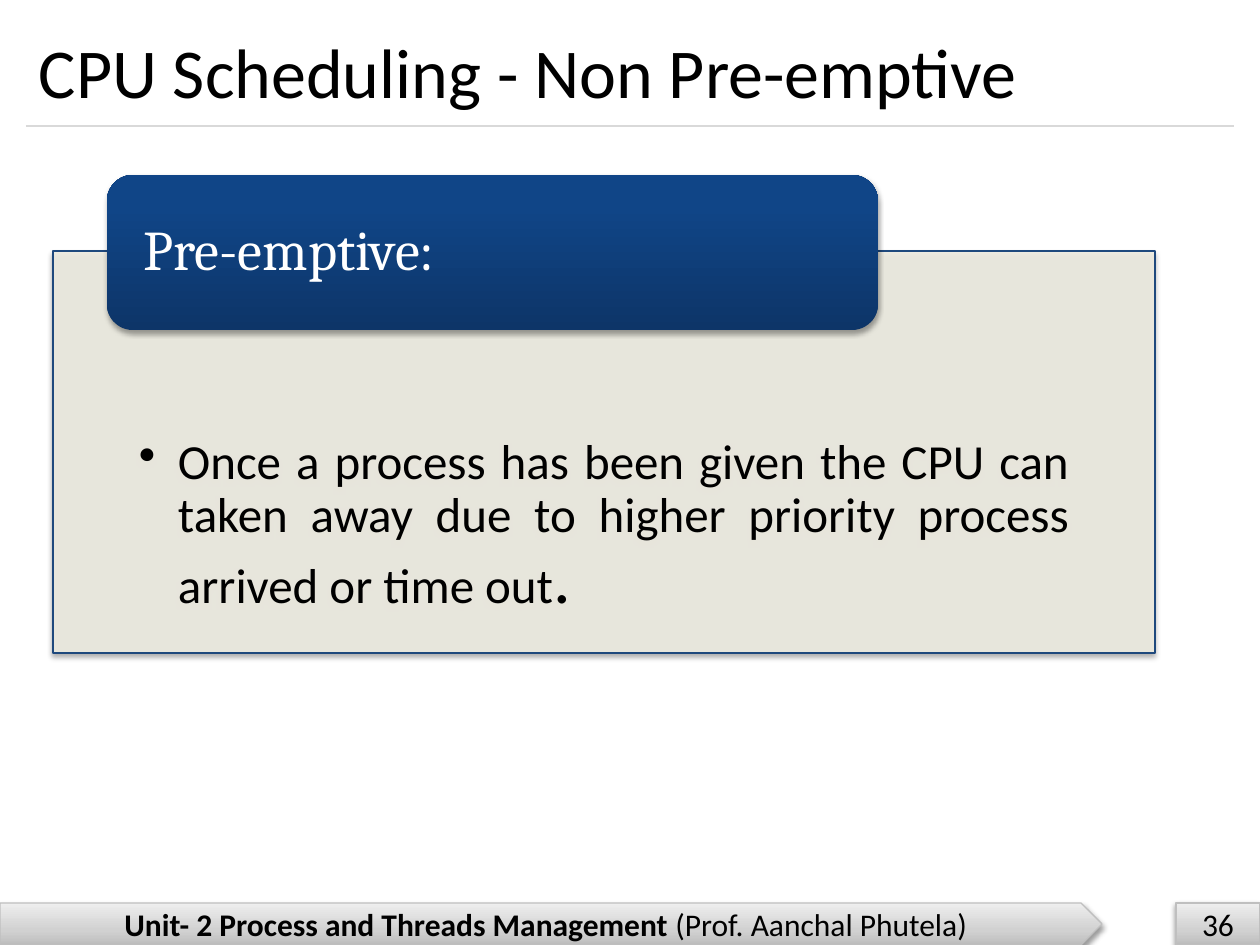
from lxml import etree
from pptx import Presentation
from pptx.dml.color import RGBColor
from pptx.enum.shapes import MSO_CONNECTOR, MSO_SHAPE as SHAPE
from pptx.enum.text import MSO_ANCHOR as ANCHOR, PP_ALIGN as ALIGN
from pptx.oxml import parse_xml
from pptx.oxml.ns import nsdecls, qn
from pptx.util import Pt

# Content: each run is (text, size, bold)
TITLE = [("CPU Scheduling - Non Pre-emptive", 40, False)]
HEADING = [("Pre-emptive:", 32, False)]
BODY = [
    ("Once a process has been given the CPU can taken away due to higher "
     "priority process arrived or time out", 28, False),
    (".", 40, False),
]
FOOTER = [
    ("Unit- 2 Process and Threads Management ", 18, True),
    ("(Prof. Aanchal Phutela)", 18, False),
]
PAGE_NUMBER = [("36", 18, False)]

COLORS = {
    "text": "000000", "heading": "FFFFFF", "shadow": "000000",
    "panel": "EEECE1", "panel_line": "1F497D",
    "footer_line": "BFBFBF", "rule": "D9D9D9",
}
GRAY_STOPS = [(0, "BDBDBD"), (35, "D1D1D1"), (100, "EEEEEE")]
BLUE_STOPS = [(0, "0D3568"), (80, "104587"), (100, "0E458A")]

# Layout in px
WIDTH, HEIGHT = 1260, 945
MARGIN, RULE_Y = 26, 126
FOOTER_TOP, FOOTER_WIDTH, NUMBER_LEFT = 903, 1102, 1176
PANEL = (53, 251, 1102, 402)
HEADING_BOX = (107, 175, 771, 155)
INDENT = 39


def px(value):
    return round(value * 914400 / 126)


def rgb(name):
    return RGBColor.from_string(COLORS[name])


def add_shadow(shape, alpha, distance):
    shape.shadow.inherit = False
    effects = shape._element.spPr.find(qn("a:effectLst"))
    effects.append(parse_xml(
        f'<a:outerShdw {nsdecls("a")} blurRad="{Pt(3.1)}" dist="{Pt(distance)}" '
        f'dir="5400000" rotWithShape="0"><a:srgbClr val="{COLORS["shadow"]}">'
        f'<a:alpha val="{alpha * 1000}"/></a:srgbClr></a:outerShdw>'))


def fill_gradient(shape, stops):
    """Linear gradient running from the bottom edge to the top."""
    shape.fill.gradient()
    gradient = shape._element.spPr.find(qn("a:gradFill"))
    stop_list = gradient.find(qn("a:gsLst"))
    for stop in list(stop_list):
        stop_list.remove(stop)
    for position, color in stops:
        stop = etree.SubElement(stop_list, qn("a:gs"), pos=str(position * 1000))
        etree.SubElement(stop, qn("a:srgbClr"), val=color)
    gradient.find(qn("a:lin")).set("ang", "16200000")


def add_shape(slide, kind, box, line, shadow):
    shape = slide.shapes.add_shape(kind, *map(px, box))
    if line:
        shape.line.color.rgb = rgb(line)
        shape.line.width = Pt(0.75)
    else:
        shape.line.fill.background()
    add_shadow(shape, *shadow)
    return shape


def write(shape, runs, align, color="text", font="Calibri",
          anchor=ANCHOR.MIDDLE, insets=(13, 6, 13, 6)):
    frame = shape.text_frame
    frame.word_wrap = True
    frame.vertical_anchor = anchor
    (frame.margin_left, frame.margin_top,
     frame.margin_right, frame.margin_bottom) = map(px, insets)
    paragraph = frame.paragraphs[0]
    paragraph.alignment = align
    paragraph.font.name = font
    paragraph.font.color.rgb = rgb(color)
    for text, size, bold in runs:
        run = paragraph.add_run()
        run.text = text
        run.font.size = Pt(size)
        run.font.bold = bold
        run.font.name = font
        run.font.color.rgb = rgb(color)
    return paragraph


def add_bullet(paragraph):
    properties = paragraph._p.get_or_add_pPr()
    properties.set("marL", str(px(INDENT)))
    properties.set("indent", str(-px(INDENT)))
    bullet = parse_xml(f'<a:buChar {nsdecls("a")} char="•"/>')
    properties.find(qn("a:defRPr")).addprevious(bullet)


presentation = Presentation()
presentation.slide_width, presentation.slide_height = px(WIDTH), px(HEIGHT)
slide = presentation.slides.add_slide(presentation.slide_layouts[6])

# Footer bar and page number
for kind, left, width, runs in (
    (SHAPE.PENTAGON, 0, FOOTER_WIDTH, FOOTER),
    (SHAPE.RECTANGLE, NUMBER_LEFT, WIDTH - NUMBER_LEFT, PAGE_NUMBER),
):
    box = (left, FOOTER_TOP, width, HEIGHT - FOOTER_TOP)
    bar = add_shape(slide, kind, box, "footer_line", (38, 1.6))
    fill_gradient(bar, GRAY_STOPS)
    write(bar, runs, ALIGN.CENTER)

# Title and the rule below it
rule = slide.shapes.add_connector(
    MSO_CONNECTOR.STRAIGHT, px(MARGIN), px(RULE_Y), px(WIDTH - MARGIN), px(RULE_Y))
rule.line.color.rgb = rgb("rule")
rule.line.width = Pt(0.75)
etree.SubElement(rule._element.spPr, qn("a:effectLst"))
title = slide.shapes.add_textbox(*map(px, (MARGIN, 15, WIDTH - 2 * MARGIN, 111)))
write(title, TITLE, ALIGN.LEFT)

# Panel with the bulleted definition
panel = add_shape(slide, SHAPE.RECTANGLE, PANEL, "panel_line", (35, 1.8))
panel.fill.solid()
panel.fill.fore_color.rgb = rgb("panel")
panel_color = panel._element.spPr.find(qn("a:solidFill"))[0]
etree.SubElement(panel_color, qn("a:alpha"), val="90000")
definition = write(panel, BODY, ALIGN.JUSTIFY, anchor=ANCHOR.TOP,
                   insets=(86, 186, 86, 28))
definition.line_spacing = 0.9
add_bullet(definition)

# Heading over the panel's top edge
heading = add_shape(slide, SHAPE.ROUNDED_RECTANGLE, HEADING_BOX, None, (35, 1.8))
fill_gradient(heading, BLUE_STOPS)
write(heading, HEADING, ALIGN.JUSTIFY, "heading", "Cambria",
      insets=(29, 0, 29, 0)).line_spacing = 0.9

presentation.save("out.pptx")
